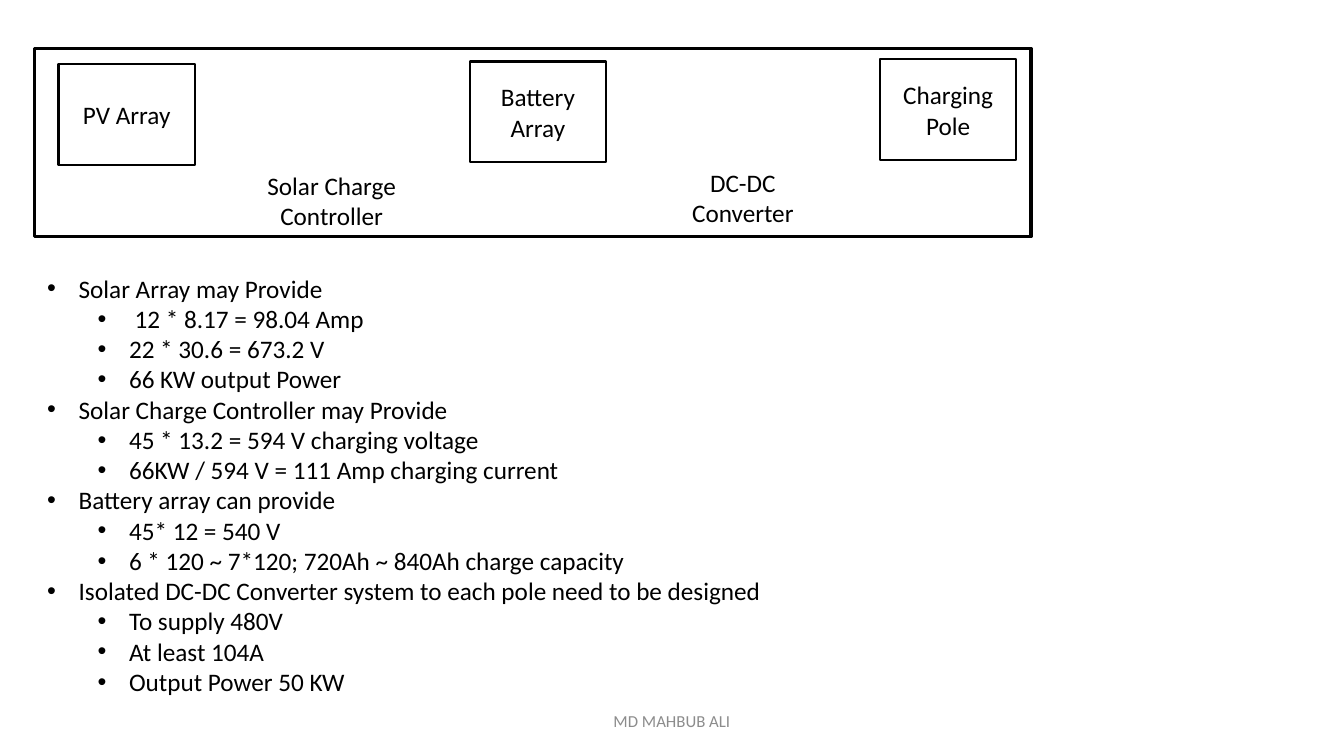
import pptx
import pptx.util
import pptx.dml.color
import pptx.enum.shapes
import pptx.enum.text
import pptx.oxml.ns
from lxml import etree
from pptx.util import Pt

BLACK = pptx.dml.color.RGBColor(0x00, 0x00, 0x00)
GREY = pptx.dml.color.RGBColor(0x8C, 0x8C, 0x8C)
FONT = "Calibri"
CENTER = pptx.enum.text.PP_ALIGN.CENTER
MIDDLE = pptx.enum.text.MSO_ANCHOR.MIDDLE
TOP = pptx.enum.text.MSO_ANCHOR.TOP
GROW = pptx.enum.text.MSO_AUTO_SIZE.SHAPE_TO_FIT_TEXT

STAGES = [("PV Array", 41.8, 46), ("Battery Array", 335.5, 44), ("Charging Pole", 628.5, 42.5)]
LINKS = [("Solar Charge Controller", 182.2, 118.1), ("DC-DC Converter", 475.9, 115.9)]
RATINGS = [
    ("Solar Array may Provide",
     [" 12 * 8.17 = 98.04 Amp", "22 * 30.6 = 673.2 V", "66 KW output Power"]),
    ("Solar Charge Controller may Provide",
     ["45 * 13.2 = 594 V charging voltage", "66KW / 594 V = 111 Amp charging current"]),
    ("Battery array can provide",
     ["45* 12 = 540 V", "6 * 120 ~ 7*120; 720Ah ~ 840Ah charge capacity"]),
    ("Isolated DC-DC Converter system to each pole need to be designed",
     ["To supply 480V", "At least 104A", "Output Power 50 KW"]),
]


def format_para(para, size=18, color=BLACK, align=None):
    """Set the font of every run and the alignment of a paragraph."""
    para.alignment = align
    for span in para.runs:
        span.font.name = FONT
        span.font.size = Pt(size)
        span.font.color.rgb = color


def add_frame(page, left, top, width, height, weight, text=""):
    """Add an unfilled black rectangle with optional centred text."""
    kind = pptx.enum.shapes.MSO_SHAPE.RECTANGLE
    box = page.shapes.add_shape(kind, Pt(left), Pt(top), Pt(width), Pt(height))
    box.shadow.inherit = False
    box.fill.background()
    box.line.color.rgb = BLACK
    box.line.width = Pt(weight)
    if text:
        box.text_frame.text = text
        box.text_frame.vertical_anchor = MIDDLE
        format_para(box.text_frame.paragraphs[0], align=CENTER)


def add_label(page, text, left, top, width, height, size=18, color=BLACK, anchor=TOP):
    """Add a wrapped, centred text box."""
    box = page.shapes.add_textbox(Pt(left), Pt(top), Pt(width), Pt(height))
    box.text_frame.word_wrap = True
    box.text_frame.vertical_anchor = anchor
    box.text_frame.text = text
    format_para(box.text_frame.paragraphs[0], size, color, CENTER)


def add_bullet(para, level):
    """Give a paragraph a round bullet with a hanging indent."""
    para.level = level
    props = para._p.get_or_add_pPr()
    props.set("marL", str(Pt(22.5 + 36 * level)))
    props.set("indent", str(Pt(-22.5)))
    font = etree.SubElement(props, pptx.oxml.ns.qn("a:buFont"))
    font.set("typeface", "Arial")
    bullet = etree.SubElement(props, pptx.oxml.ns.qn("a:buChar"))
    bullet.set("char", "•")


def add_outline(page, topics, left, top, width, height):
    """Add a two-level bulleted list."""
    box = page.shapes.add_textbox(Pt(left), Pt(top), Pt(width), Pt(height))
    box.text_frame.word_wrap = False
    box.text_frame.auto_size = GROW
    rows = []
    for heading, details in topics:
        rows.append((heading, 0))
        rows.extend((detail, 1) for detail in details)
    box.text_frame.text = "\n".join(text for text, level in rows)
    for para, (text, level) in zip(box.text_frame.paragraphs, rows):
        format_para(para)
        add_bullet(para, level)


def main():
    """Build the charging station slide and save it."""
    deck = pptx.Presentation()
    deck.slide_width, deck.slide_height = Pt(960), Pt(540)
    page = deck.slides.add_slide(deck.slide_layouts[6])
    for text, left, top in STAGES:
        add_frame(page, left, top, 97.5, 72, 1.5, text)
    for text, left, top in LINKS:
        add_label(page, text, left, top, 109.4, 51)
    add_frame(page, 24.5, 34.5, 712, 134.5, 2.25)
    add_outline(page, RATINGS, 26.6, 191.5, 530.6, 334)
    add_label(page, "MD MAHBUB ALI", 318, 500.5, 324, 28.75, 12, GREY, MIDDLE)
    deck.save("out.pptx")


if __name__ == "__main__":
    main()
